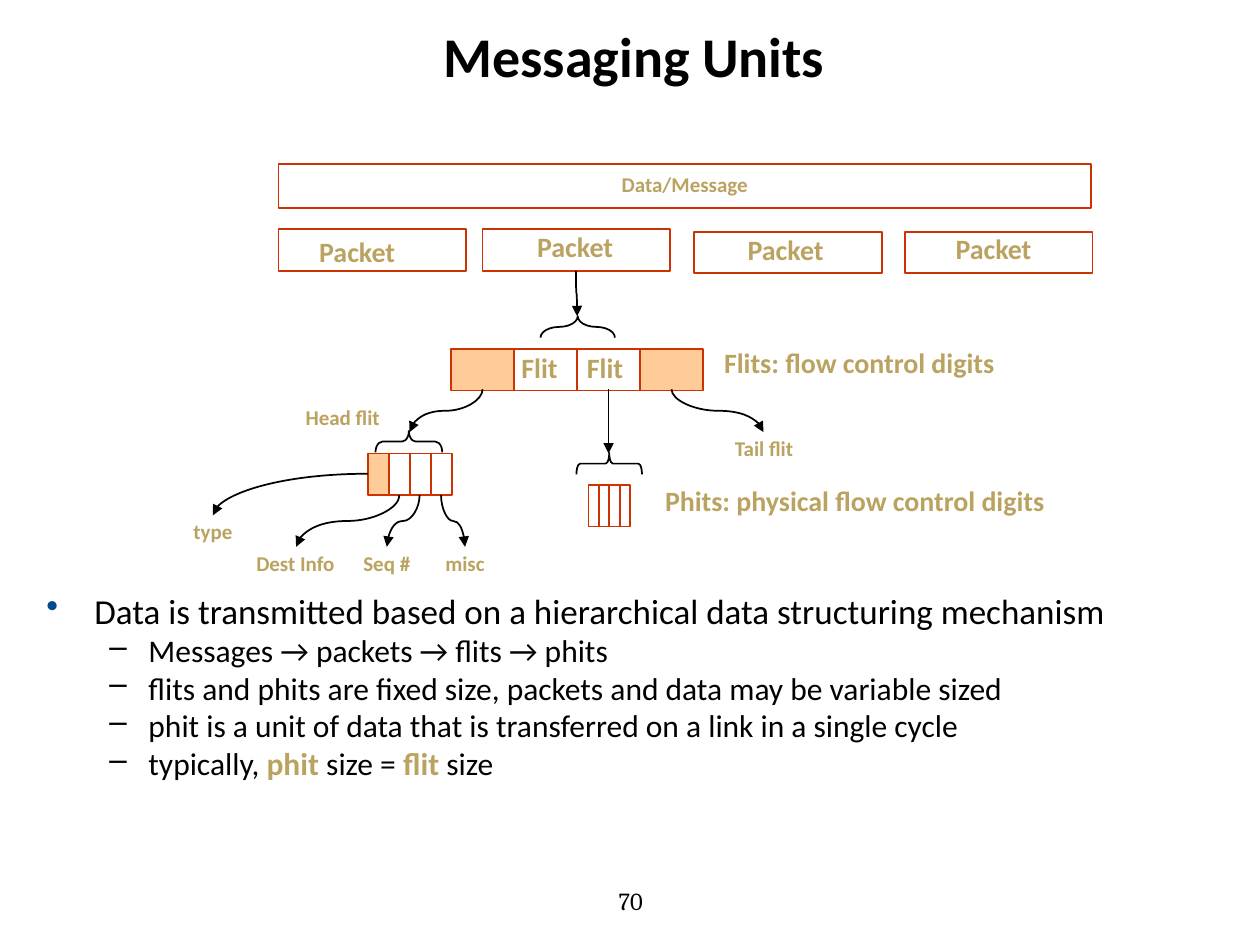
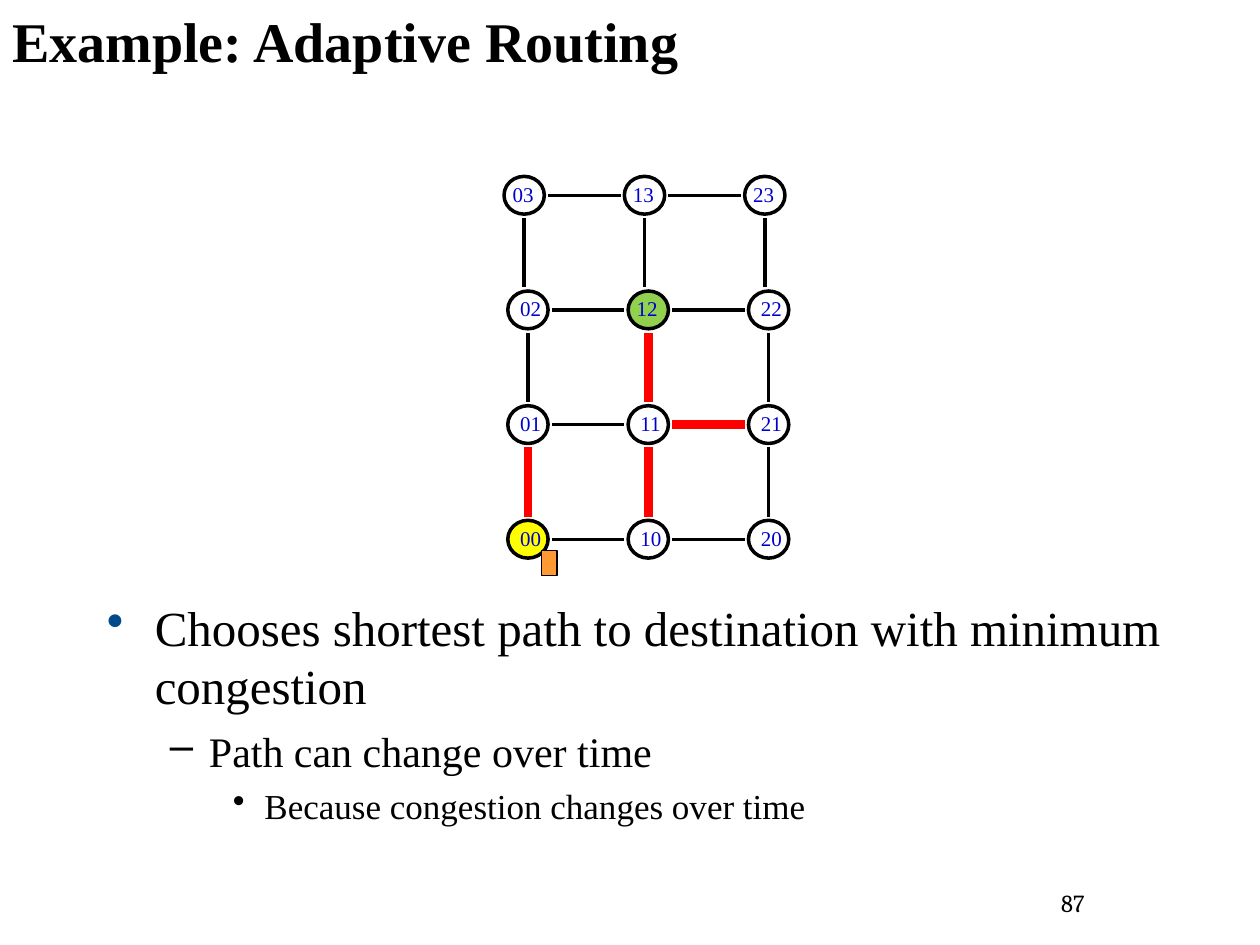
from dataclasses import dataclass
from itertools import product

from lxml.etree import SubElement
from pptx import Presentation
from pptx.dml.color import RGBColor
from pptx.enum.shapes import MSO_CONNECTOR as Connector, MSO_SHAPE as Preset
from pptx.enum.text import MSO_ANCHOR as Anchor, PP_ALIGN as Align
from pptx.oxml.ns import qn
from pptx.util import Inches, Pt

COLORS = {
    "black": "000000", "gold": "BAA360", "rust": "CC3300", "peach": "FFCC99",
    "bullet": "004A8C", "node": "0000CC", "route": "FF0000", "white": "FFFFFF",
    "green": "92D050", "yellow": "FFFF00", "orange": "FF9933",
}
SANS, SERIF, NUMBER_FONT = "Calibri", "Times New Roman", "Cambria"
BULLET_STYLES = [("•", 0.38, -0.38), ("–", 0.81, -0.31), ("•", 1.25, -0.25)]


@dataclass(frozen=True)
class Box:
    left: float
    top: float
    width: float
    height: float

    def inches(self) -> list:
        return [Inches(v) for v in (self.left, self.top, self.width, self.height)]


@dataclass(frozen=True)
class Label:
    text: str
    box: Box
    size: int = 12


@dataclass(frozen=True)
class Bullet:
    """Text in runs; every second run is emphasised."""
    level: int
    size: int
    runs: tuple
    line_spacing: float = 1.0
    space_before: float = 0


@dataclass(frozen=True)
class Curve:
    start: tuple
    end: tuple


@dataclass(frozen=True)
class Brace:
    box: Box
    curl: float


def rgb(name: str) -> RGBColor:
    return RGBColor.from_string(COLORS[name])


def style_font(font, size: float, name: str, color: str, bold: bool = False) -> None:
    font.size, font.name, font.bold = Pt(size), name, bold
    font.color.rgb = rgb(color)


def add_text(slide, text: str, box: Box, *, size: float, font: str = SANS,
             color: str = "black", bold: bool = False, align=Align.LEFT,
             anchor=Anchor.TOP, wrap: bool = True, line_spacing: float = 1.0):
    frame = slide.shapes.add_textbox(*box.inches()).text_frame
    frame.word_wrap, frame.vertical_anchor = wrap, anchor
    paragraph = frame.paragraphs[0]
    paragraph.alignment, paragraph.line_spacing = align, line_spacing
    run = paragraph.add_run()
    run.text = text
    style_font(run.font, size, font, color, bold)


def add_label(slide, label: Label, anchor=Anchor.TOP) -> None:
    add_text(slide, label.text, label.box, size=label.size, color="gold", bold=True,
             align=Align.CENTER, anchor=anchor, wrap=False, line_spacing=0.9)


def add_title(slide, text: str, box: Box, font: str) -> None:
    add_text(slide, text, box, size=32, font=font, bold=True)


def add_slide_number(slide, text: str, box: Box, **layout) -> None:
    add_text(slide, text, box, size=14, font=NUMBER_FONT, **layout)


def add_bullets(slide, bullets: list[Bullet], box: Box, font: str) -> None:
    frame = slide.shapes.add_textbox(*box.inches()).text_frame
    frame.word_wrap = True
    for index, bullet in enumerate(bullets):
        paragraph = frame.paragraphs[0] if index == 0 else frame.add_paragraph()
        symbol, margin, indent = BULLET_STYLES[bullet.level]
        properties = paragraph._p.get_or_add_pPr()
        properties.set("marL", str(Inches(margin)))
        properties.set("indent", str(Inches(indent)))
        bullet_color = SubElement(properties, qn("a:buClr"))
        SubElement(bullet_color, qn("a:srgbClr")).set(
            "val", COLORS["black" if bullet.level else "bullet"])
        SubElement(properties, qn("a:buChar")).set("char", symbol)
        paragraph.level = bullet.level
        paragraph.line_spacing = bullet.line_spacing
        if index:
            paragraph.space_before = Pt(bullet.space_before)
        for position, text in enumerate(bullet.runs):
            run = paragraph.add_run()
            run.text = text
            strong = position % 2 == 1
            style_font(run.font, bullet.size, font, "gold" if strong else "black", strong)


def add_outline(slide, preset, box: Box, *, line: str = "rust", width: float = 1,
                fill: str | None = None):
    shape = slide.shapes.add_shape(preset, *box.inches())
    shape.shadow.inherit = False
    if fill:
        shape.fill.solid()
        shape.fill.fore_color.rgb = rgb(fill)
    else:
        shape.fill.background()
    shape.line.color.rgb = rgb(line)
    shape.line.width = Pt(width)
    return shape


def add_cells(slide, first: Box, fills: list) -> None:
    """Row of touching cells, one for each fill."""
    for index, fill in enumerate(fills):
        cell = Box(first.left + index * first.width, first.top, first.width, first.height)
        add_outline(slide, Preset.RECTANGLE, cell, fill=fill)


def add_brace(slide, brace: Brace) -> None:
    shape = add_outline(slide, Preset.LEFT_BRACE, brace.box, line="black")
    shape.adjustments[0] = brace.curl
    shape.rotation = 90


def add_line(slide, start: tuple, end: tuple, *, kind=Connector.STRAIGHT,
             color: str = "black", width: float = 1, arrow: bool = False):
    connector = slide.shapes.add_connector(kind, *map(Inches, (*start, *end)))
    connector.line.color.rgb = rgb(color)
    connector.line.width = Pt(width)
    if arrow:
        SubElement(connector.line._get_or_add_ln(), qn("a:tailEnd")).set("type", "triangle")
    SubElement(connector._element.spPr, qn("a:effectLst"))
    return connector


def add_down_curve(slide, curve: Curve) -> None:
    """S-shaped arrow that leaves and arrives vertically: a turned connector."""
    (x1, y1), (x2, y2) = curve.start, curve.end
    middle_x, middle_y = (x1 + x2) / 2, (y1 + y2) / 2
    half_width, half_height = abs(y2 - y1) / 2, abs(x2 - x1) / 2
    connector = add_line(slide, (middle_x - half_width, middle_y - half_height),
                         (middle_x + half_width, middle_y + half_height),
                         kind=Connector.CURVE, arrow=True)
    transform = connector._element.spPr.xfrm
    if x2 < x1:
        transform.set("rot", "5400000")
    else:
        transform.set("rot", "16200000")
        transform.set("flipH", "1")


def add_type_curve(slide, box: Box) -> None:
    """Quarter arc that leaves to the left and arrives downwards."""
    connector = add_line(slide, (box.left, box.top),
                         (box.left + box.width, box.top + box.height),
                         kind=Connector.CURVE, arrow=True)
    properties = connector._element.spPr
    properties.xfrm.set("rot", "10800000")
    properties.xfrm.set("flipV", "1")
    properties.find(qn("a:prstGeom")).set("prst", "curvedConnector2")


def build_messaging_units(slide) -> None:
    add_title(slide, "Messaging Units", Box(3.42, 0.12, 4.51, 1.11), SANS)
    add_bullets(slide, [
        Bullet(0, 20, ("Data is transmitted based on a hierarchical data structuring "
                       "mechanism",), line_spacing=0.8),
        Bullet(1, 18, ("Messages → packets → flits → phits",)),
        Bullet(1, 18, ("flits and phits are fixed size, packets and data may be "
                       "variable sized",)),
        Bullet(1, 18, ("phit is a unit of data that is transferred on a link in a "
                       "single cycle",)),
        Bullet(1, 18, ("typically, ", "phit", " size = ", "flit", " size")),
    ], Box(0.27, 4.69, 9.45, 2.02), SANS)

    message = Box(2.21, 1.3, 6.45, 0.35)
    add_outline(slide, Preset.RECTANGLE, message)
    add_label(slide, Label("Data/Message", message), Anchor.MIDDLE)
    packets = [(2.21, 1.82, 2.43, 1.84), (3.83, 1.82, 4.16, 1.8),
               (5.51, 1.84, 5.83, 1.83), (7.18, 1.84, 7.48, 1.82)]
    for left, top, label_left, label_top in packets:
        add_outline(slide, Preset.RECTANGLE, Box(left, top, 1.49, 0.33))
        add_label(slide, Label("Packet", Box(label_left, label_top, 0.81, 0.34), 16))

    add_cells(slide, Box(3.58, 2.77, 0.5, 0.33), ["peach", None, None, "peach"])
    add_cells(slide, Box(2.92, 3.6, 1 / 6, 0.33), ["peach", None, None, None])
    add_cells(slide, Box(4.67, 3.85, 1 / 12, 0.33), [None] * 4)
    for left in (4.04, 4.56):
        add_text(slide, "Flit", Box(left, 2.73, 0.49, 0.37), size=16, color="gold",
                 bold=True, wrap=False)

    for label in (
        Label("Flits: flow control digits", Box(5.63, 2.72, 2.38, 0.34), 16),
        Label("Phits: physical flow control digits", Box(5.16, 3.82, 3.25, 0.34), 16),
        Label("Head flit", Box(2.32, 3.18, 0.8, 0.28)),
        Label("Tail flit", Box(5.73, 3.43, 0.67, 0.28)),
        Label("type", Box(1.43, 4.09, 0.52, 0.28)),
        Label("Dest Info", Box(1.93, 4.34, 0.83, 0.28)),
        Label("Seq #", Box(2.78, 4.34, 0.58, 0.28)),
        Label("misc", Box(3.43, 4.34, 0.52, 0.28)),
    ):
        add_label(slide, label)

    for brace in (
        Brace(Box(4.5, 2.3, 0.17, 0.59), 1),
        Brace(Box(3.16, 3.24, 0.17, 0.53), 0.32),
        Brace(Box(4.75, 3.42, 0.17, 0.52), 0.17),
    ):
        add_brace(slide, brace)

    for curve in (
        Curve((4.57, 2.15), (4.58, 2.51)),
        Curve((3.83, 3.09), (3.25, 3.43)),
        Curve((5.33, 3.09), (6.06, 3.43)),
        Curve((3.17, 3.93), (2.35, 4.34)),
        Curve((3.33, 3.93), (3.07, 4.34)),
        Curve((3.5, 3.93), (3.69, 4.34)),
    ):
        add_down_curve(slide, curve)
    add_type_curve(slide, Box(1.69, 3.76, 1.23, 0.33))
    add_line(slide, (4.83, 3.09), (4.83, 3.6), arrow=True)
    add_slide_number(slide, "70", Box(2.87, 6.95, 2.33, 0.4),
                     align=Align.RIGHT, anchor=Anchor.MIDDLE)


def node_center(column: int, row: int) -> tuple[float, float]:
    """Centre of a mesh node; row 0 is at the bottom, row 3 sits a little left."""
    return 4.19 + 0.955 * column - (0.03 if row == 3 else 0), 4.28 - 0.91 * row


def add_mesh(slide) -> None:
    columns, rows = 3, 4
    node_fills = {(0, 0): "yellow", (1, 2): "green", (2, 2): "white"}
    congested = {((0, 0), (0, 1)), ((1, 0), (1, 1)), ((1, 1), (1, 2)), ((1, 1), (2, 1))}
    for column, row in product(range(columns), range(rows)):
        node = (column, row)
        x, y = node_center(*node)
        add_outline(slide, Preset.OVAL, Box(x - 0.16, y - 0.15, 0.32, 0.3),
                    line="black", width=2, fill=node_fills.get(node))
        label_shift = 0.19 if row == 3 or node == (1, 2) else 0.16
        add_text(slide, f"{column}{row}", Box(x - label_shift, y - 0.16, 0.37, 0.3),
                 size=12, font=SERIF, color="node", wrap=False)
        links = []
        if column + 1 < columns:
            right_x, _ = node_center(column + 1, row)
            links.append(((column + 1, row), (x + 0.19, y), (right_x - 0.19, y)))
        if row + 1 < rows:
            upper_x, upper_y = node_center(column, row + 1)
            links.append(((column, row + 1), (upper_x, y - 0.18), (upper_x, upper_y + 0.18)))
        for neighbor, start, end in links:
            busy = (node, neighbor) in congested
            add_line(slide, start, end, color="route" if busy else "black",
                     width=5 if busy else 2)


def build_adaptive_routing(slide) -> None:
    add_title(slide, "Example: Adaptive Routing", Box(0, 0, 10, 1.09), SERIF)
    add_bullets(slide, [
        Bullet(0, 28, ("Chooses shortest path to destination with minimum congestion",)),
        Bullet(1, 24, ("Path can change over time",), space_before=6),
        Bullet(2, 20, ("Because congestion changes over time",), space_before=5),
    ], Box(0.75, 4.69, 9.05, 2.13), SERIF)
    add_mesh(slide)
    add_outline(slide, Preset.RECTANGLE, Box(4.3, 4.37, 0.12, 0.2), line="black",
                width=0.75, fill="orange")
    add_slide_number(slide, "87", Box(7.35, 7, 2.33, 0.4), align=Align.CENTER)


def main() -> None:
    presentation = Presentation()
    presentation.slide_width, presentation.slide_height = Inches(10), Inches(7.5)
    blank = presentation.slide_layouts[6]
    for build in (build_messaging_units, build_adaptive_routing):
        build(presentation.slides.add_slide(blank))
    presentation.save("out.pptx")


if __name__ == "__main__":
    main()
